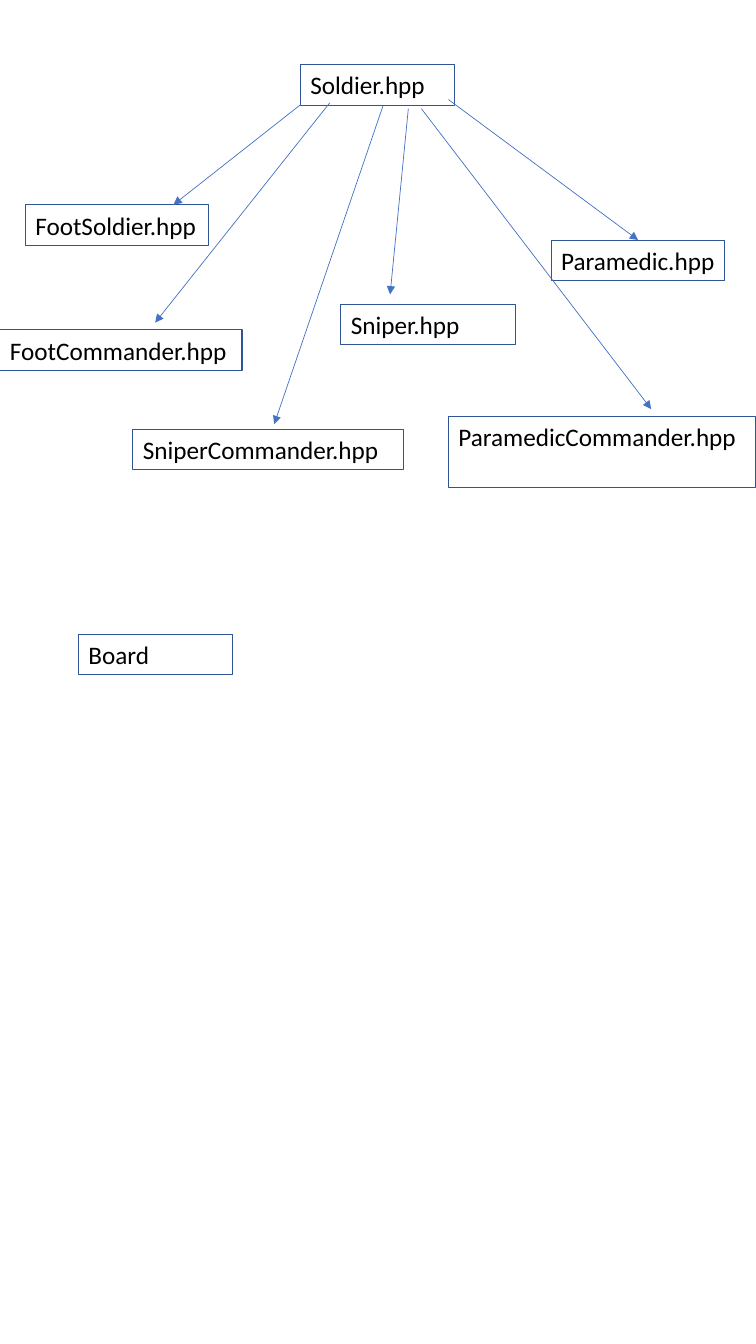
from pptx import Presentation
from pptx.dml.color import RGBColor
from pptx.enum.shapes import MSO_CONNECTOR as Connector, MSO_SHAPE as Shape
from pptx.enum.text import MSO_ANCHOR as Anchor, PP_ALIGN as Align
from pptx.oxml.ns import qn
from pptx.util import Cm, Pt
from lxml.etree import SubElement

COLORS = {"text": "000000", "border": "2F5597", "arrow": "4472C4"}
LINE_HEIGHT = 1.02
FRAME_FORMAT = {
    "word_wrap": True,
    "vertical_anchor": Anchor.TOP,
    "margin_left": Cm(0.25),
    "margin_right": Cm(0),
    "margin_top": Cm(0.13),
    "margin_bottom": Cm(0.13),
}
FONT_FORMAT = {"name": "Calibri", "size": Pt(18)}

presentation = Presentation()
presentation.slide_width = Cm(19.05)
presentation.slide_height = Cm(33.87)
slide = presentation.slides.add_slide(presentation.slide_layouts[6])

classes = [
    ("Soldier.hpp", 7.57, 1.63, 3.89, LINE_HEIGHT),
    ("FootSoldier.hpp", 0.64, 5.16, 4.62, LINE_HEIGHT),
    ("Sniper.hpp", 8.59, 7.67, 4.39, LINE_HEIGHT),
    ("ParamedicCommander.hpp", 11.3, 10.49, 7.75, 1.8),
    ("Paramedic.hpp", 13.89, 6.05, 4.37, LINE_HEIGHT),
    ("FootCommander.hpp", 0, 8.31, 6.1, LINE_HEIGHT),
    ("SniperCommander.hpp", 3.35, 10.82, 6.83, LINE_HEIGHT),
    ("Board", 1.98, 15.98, 3.89, LINE_HEIGHT),
]
for name, *box in classes:
    shape = slide.shapes.add_shape(Shape.RECTANGLE, *map(Cm, box))
    shape.shadow.inherit = False
    shape.fill.background()
    shape.line.color.rgb = RGBColor.from_string(COLORS["border"])
    shape.line.width = Pt(0.75)
    for attribute, value in FRAME_FORMAT.items():
        setattr(shape.text_frame, attribute, value)
    paragraph = shape.text_frame.paragraphs[0]
    paragraph.text = name
    paragraph.alignment = Align.LEFT
    for attribute, value in FONT_FORMAT.items():
        setattr(paragraph.font, attribute, value)
    paragraph.font.color.rgb = RGBColor.from_string(COLORS["text"])

inheritance_arrows = [
    (7.57, 2.64, 4.37, 5.16),
    (8.31, 2.59, 3.91, 8.13),
    (10.62, 2.74, 16.41, 10.31),
    (11.3, 2.51, 16.08, 6.05),
    (9.65, 2.67, 6.91, 10.69),
    (10.29, 2.74, 9.83, 7.42),
]
for ends in inheritance_arrows:
    arrow = slide.shapes.add_connector(Connector.STRAIGHT, *map(Cm, ends))
    arrow.line.color.rgb = RGBColor.from_string(COLORS["arrow"])
    arrow.line.width = Pt(0.5)
    properties = arrow.line._get_or_add_ln()
    SubElement(properties, qn("a:tailEnd"), type="triangle")
    SubElement(properties.getparent(), qn("a:effectLst"))

presentation.save("out.pptx")
